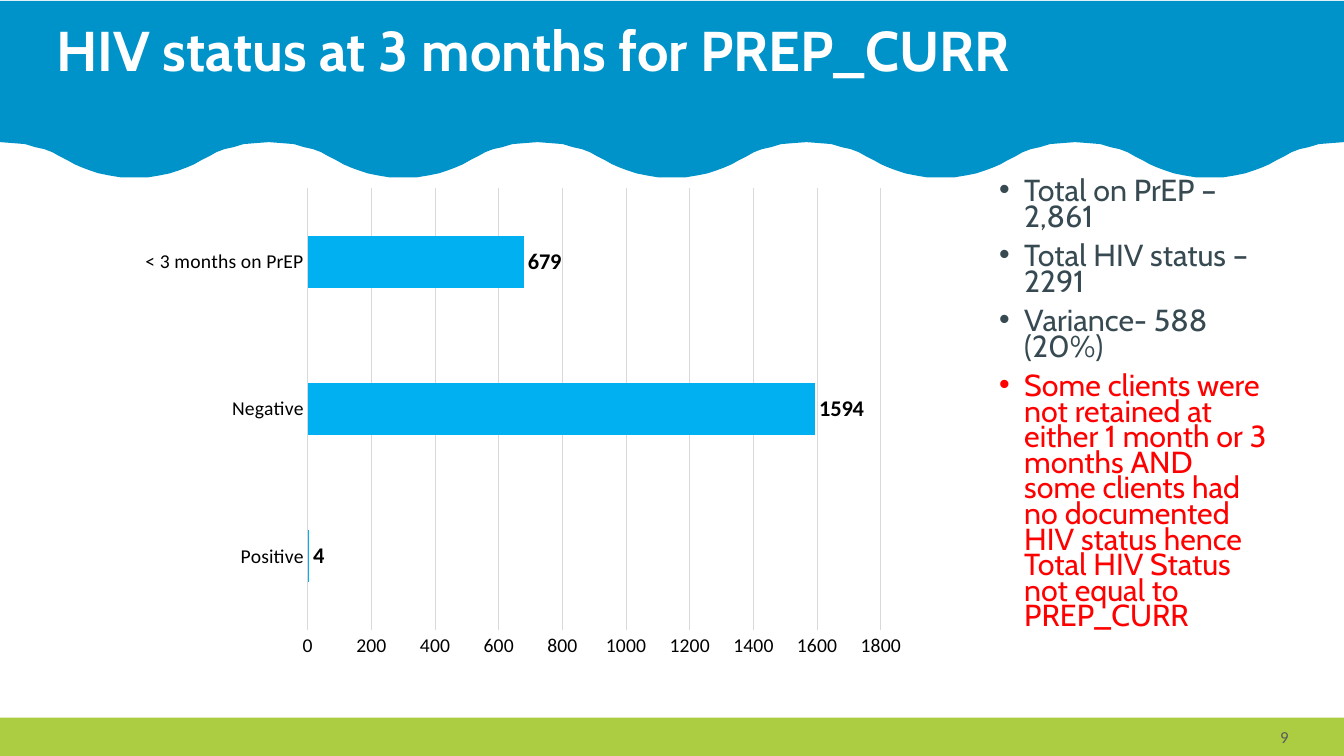
from dataclasses import dataclass

from lxml import etree
from pptx import Presentation
from pptx import util as u
from pptx.chart.data import CategoryChartData
from pptx.dml.color import RGBColor
from pptx.enum import chart as ch
from pptx.enum import shapes, text
from pptx.oxml import parse_xml
from pptx.oxml.ns import nsdecls, qn

WIDTH, HEIGHT = 13.33, 7.5
BLUE, GREEN, WHITE = "0093C9", "ACCD41", "FFFFFF"
SLATE, RED, GREY = "374A52", "FF0000", "595959"
BAR, RULE, BLACK = "00B0F0", "D9D9D9", "000000"

WAVES = 5
# Falling half of one wave: offset from its crest, and depth
HALF_WAVE = [
    (0, 1.41), (0.13, 1.42), (0.25, 1.43), (0.35, 1.46), (0.44, 1.48),
    (0.52, 1.51), (0.59, 1.55), (0.67, 1.59), (0.74, 1.63), (0.81, 1.66),
    (0.89, 1.69), (0.98, 1.72), (1.08, 1.74), (1.2, 1.76), (1.33, 1.76),
]


@dataclass
class Line:
    text: str
    size: float
    color: str
    font: str = "Cabin"
    bold: bool = False
    align: text.PP_ALIGN = text.PP_ALIGN.LEFT
    spacing: float = 1.0
    before: float = 0
    bullet: bool = False


@dataclass
class Box:
    left: float
    top: float
    width: float
    height: float
    lines: list[Line]
    anchor: text.MSO_ANCHOR = text.MSO_ANCHOR.TOP


def rgb(color: str) -> RGBColor:
    return RGBColor.from_string(color)


def style_font(font, size: float, color: str, name: str, bold: bool = False) -> None:
    font.size, font.name, font.bold = u.Pt(size), name, bold
    font.color.rgb = rgb(color)


def paint(sp, color: str) -> None:
    sp.fill.solid()
    sp.fill.fore_color.rgb = rgb(color)
    sp.line.fill.background()
    sp.shadow.inherit = False


def add_bullet(p) -> None:
    pPr = p._p.get_or_add_pPr()
    pPr.set("marL", str(u.Inches(0.25)))
    pPr.set("indent", str(u.Inches(-0.25)))
    etree.SubElement(pPr, qn("a:buFont")).set("typeface", "Arial")
    etree.SubElement(pPr, qn("a:buChar")).set("char", "•")


def add_box(s, box: Box) -> None:
    sp = s.shapes.add_textbox(
        *map(u.Inches, (box.left, box.top, box.width, box.height)))
    tf = sp.text_frame
    tf.word_wrap = True
    tf.vertical_anchor = box.anchor
    for i, line in enumerate(box.lines):
        p = tf.add_paragraph() if i else tf.paragraphs[0]
        p.alignment = line.align
        p.line_spacing = line.spacing
        p.space_before = u.Pt(line.before)
        if line.bullet:
            add_bullet(p)
        r = p.add_run()
        r.text = line.text
        style_font(r.font, line.size, line.color, line.font, line.bold)


def add_wavy_header(s) -> None:
    period = WIDTH / WAVES
    wave = HALF_WAVE + [(period - x, y) for x, y in reversed(HALF_WAVE[:-1])]
    edge = [(n * period + x, y) for n in range(WAVES) for x, y in wave]
    points = [(u.Inches(x), u.Inches(y)) for x, y in edge + [(WIDTH, 0.01)]]
    builder = s.shapes.build_freeform(0, u.Inches(0.01))
    builder.add_line_segments(points, close=True)
    paint(builder.convert_to_shape(), BLUE)


def set_plot_area(chart, x: float, y: float, w: float, h: float) -> None:
    """Fix the inner plot area, in fractions of the chart."""
    area = chart.element.find(".//" + qn("c:plotArea"))
    for old in area.findall(qn("c:layout")):
        area.remove(old)
    values = {"layoutTarget": "inner", "xMode": "edge", "yMode": "edge",
              "x": x, "y": y, "w": w, "h": h}
    items = "".join(f'<c:{k} val="{v}"/>' for k, v in values.items())
    area.insert(0, parse_xml(
        f'<c:layout {nsdecls("c")}><c:manualLayout>{items}'
        "</c:manualLayout></c:layout>"))


def add_status_chart(s) -> None:
    data = CategoryChartData()
    data.categories = ["Positive", "Negative", "< 3 months on PrEP"]
    data.add_series("Series 1", [4, 1594, 679])
    chart = s.shapes.add_chart(
        ch.XL_CHART_TYPE.BAR_CLUSTERED,
        *map(u.Inches, (0.67, 1.75, 8.51, 4.95)), data).chart
    chart.has_legend = chart.has_title = False
    style_font(chart.font, 14, BLACK, "Calibri")
    set_plot_area(chart, 0.28, 0.024, 0.668, 0.885)

    cat, val = chart.category_axis, chart.value_axis
    for axis in (cat, val):
        axis.major_tick_mark = axis.minor_tick_mark = ch.XL_TICK_MARK.NONE
        style_font(axis.tick_labels.font, 14, BLACK, "Calibri")
    cat.has_major_gridlines = False
    val.has_major_gridlines = True
    for rule in (cat.format.line, val.major_gridlines.format.line):
        rule.color.rgb = rgb(RULE)
        rule.width = u.Pt(0.75)
    val.format.line.fill.background()
    val.minimum_scale, val.maximum_scale, val.major_unit = 0, 1800, 200

    plot = chart.plots[0]
    plot.gap_width = 182
    plot.vary_by_categories = False
    series = plot.series[0]
    series.format.fill.solid()
    series.format.fill.fore_color.rgb = rgb(BAR)
    labels = series.data_labels
    labels.show_value = True
    labels.position = ch.XL_LABEL_POSITION.OUTSIDE_END
    style_font(labels.font, 16, BLACK, "Calibri", True)


def finding(words: str, color: str = SLATE) -> Line:
    return Line(words, 21.7, color, spacing=0.7, before=10, bullet=True)


BOXES = [
    Box(0.46, 0.18, 12.42, 1.2, [
        Line("HIV status at 3 months for PREP_CURR", 40, WHITE,
             bold=True, spacing=0.9)]),
    Box(9.81, 1.75, 2.85, 4.95, [
        finding("Total on PrEP – 2,861"),
        finding("Total HIV status – 2291"),
        finding("Variance- 588 (20%)"),
        finding("Some clients were not retained at either 1 month or 3 months "
                "AND some clients had no documented HIV status hence Total "
                "HIV Status not equal to PREP_CURR", RED)]),
    Box(9.17, 7.12, 3.71, 0.38, [
        Line("9", 12, GREY, "Calibri", align=text.PP_ALIGN.RIGHT)],
        text.MSO_ANCHOR.MIDDLE),
]


def main() -> None:
    prs = Presentation()
    prs.slide_width, prs.slide_height = u.Inches(WIDTH), u.Inches(HEIGHT)
    s = prs.slides.add_slide(prs.slide_layouts[6])
    footer = s.shapes.add_shape(
        shapes.MSO_SHAPE.RECTANGLE,
        *map(u.Inches, (0, 7.12, WIDTH, 0.38)))
    paint(footer, GREEN)
    add_wavy_header(s)
    for box in BOXES:
        add_box(s, box)
    add_status_chart(s)
    prs.save("out.pptx")


if __name__ == "__main__":
    main()
